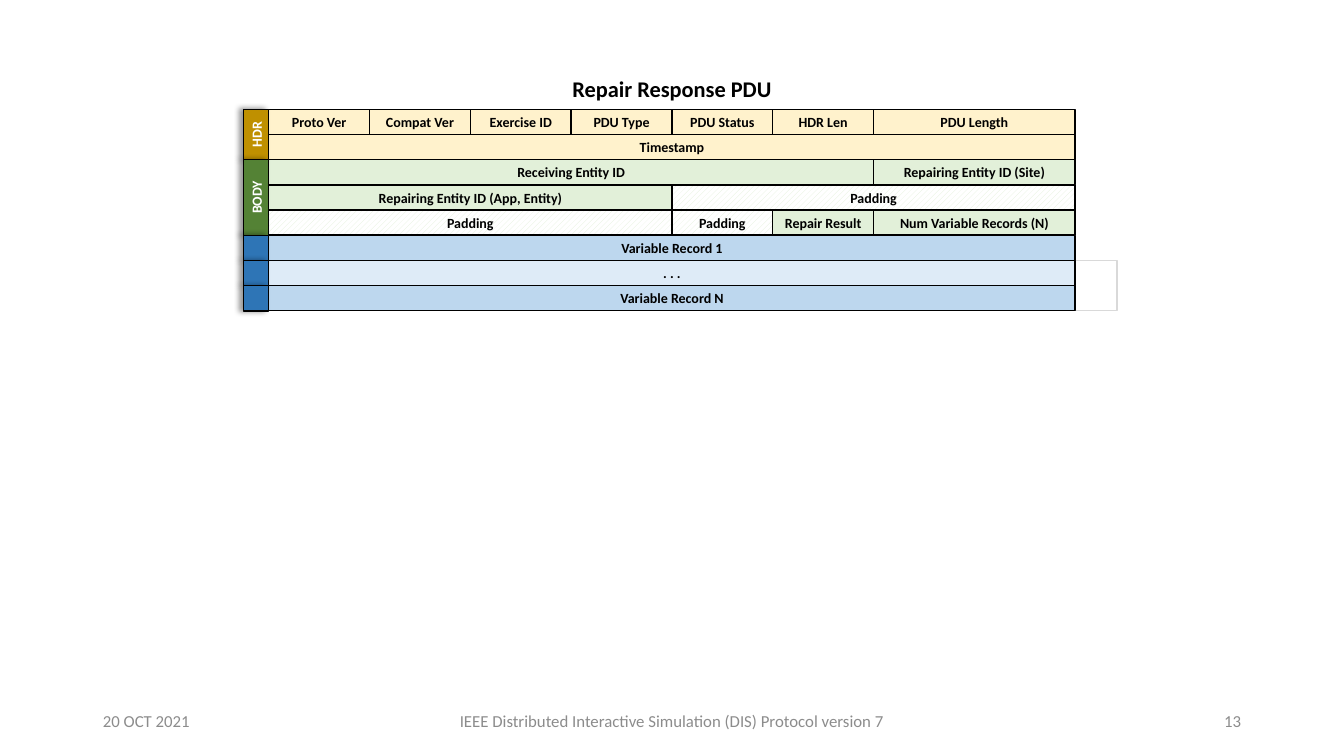
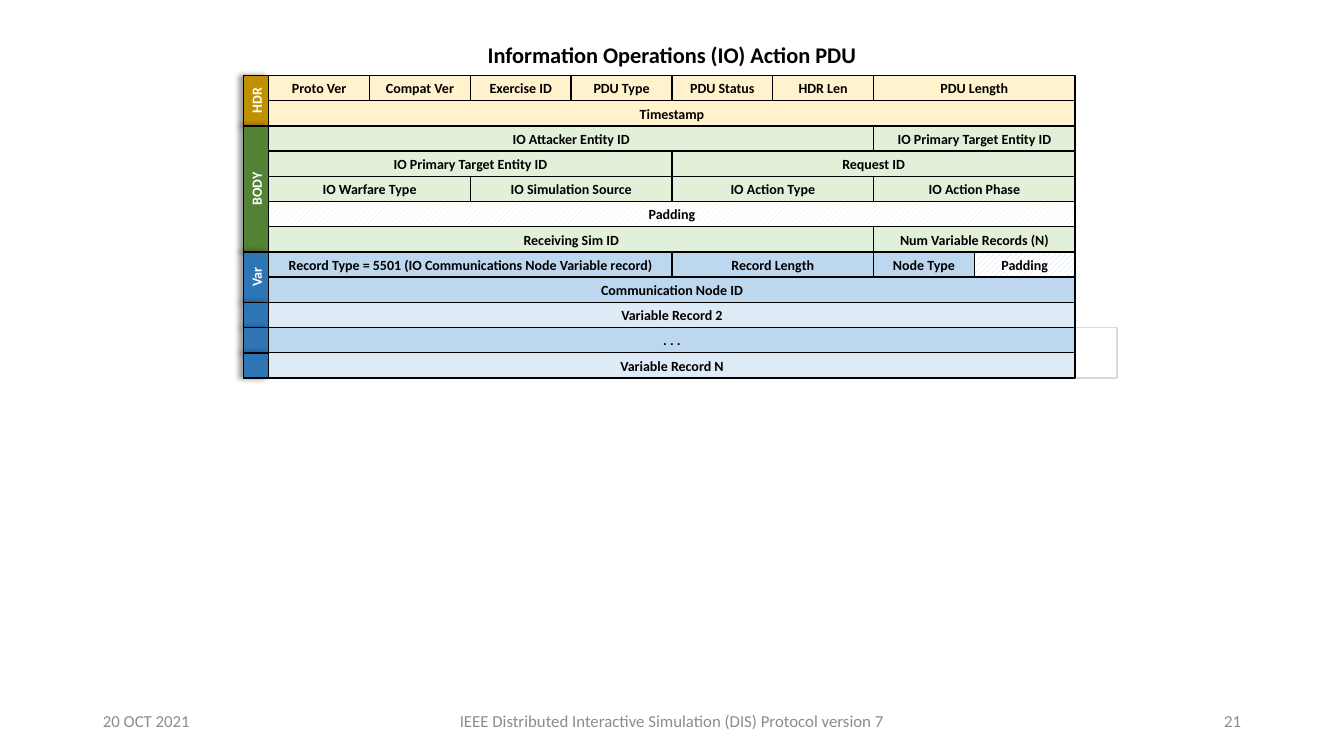
from pptx import Presentation
from pptx.dml.color import RGBColor
from pptx.enum.dml import MSO_PATTERN
from pptx.enum.shapes import MSO_SHAPE
from pptx.enum.text import MSO_ANCHOR, PP_ALIGN
from pptx.oxml import parse_xml
from pptx.oxml.ns import nsdecls
from pptx.util import Pt

PX = 9525  # EMU per pixel, 96 pixels to the inch

BLACK = RGBColor(0x00, 0x00, 0x00)
WHITE = RGBColor(0xFF, 0xFF, 0xFF)
OUTLINE_GREY = RGBColor(0xD9, 0xD9, 0xD9)
FOOTER_GREY = RGBColor(0x8C, 0x8C, 0x8C)
CREAM = RGBColor(0xFF, 0xF2, 0xCC)
GOLD = RGBColor(0xBF, 0x90, 0x00)
PALE_GREEN = RGBColor(0xE2, 0xF0, 0xD9)
GREEN = RGBColor(0x54, 0x82, 0x35)
PALE_BLUE = RGBColor(0xDE, 0xEB, 0xF7)
LIGHT_BLUE = RGBColor(0xBD, 0xD7, 0xEE)
BLUE = RGBColor(0x2E, 0x75, 0xB6)

FONT = "Calibri"
ROW = 24          # height of a field row and width of a section tab
COLUMN = 96       # width of one of the eight columns
COLUMNS = 8
GRID_LEFT = 256
TITLE_LEFT, TITLE_WIDTH = 448, 384
TITLE_RISE = 32   # title top above the first row
FOOTER_TOP, FOOTER_HEIGHT = 667, 38
DATE = "20 OCT 2021"
FOOTER = "IEEE Distributed Interactive Simulation (DIS) Protocol version 7"

SHADOW = (
    f'<a:effectLst {nsdecls("a")}>'
    '<a:outerShdw blurRad="50800" dist="38100" dir="10800000" algn="r" rotWithShape="0">'
    '<a:srgbClr val="000000"><a:alpha val="40000"/></a:srgbClr>'
    '</a:outerShdw></a:effectLst>'
)

# Rows are (fill, [(field, columns), ...]); tabs are (label, fill, rows covered).
HEADER_ROWS = [
    (CREAM, [("Proto Ver", 1), ("Compat Ver", 1), ("Exercise ID", 1), ("PDU Type", 1),
             ("PDU Status", 1), ("HDR Len", 1), ("PDU Length", 2)]),
    (CREAM, [("Timestamp", 8)]),
]
RECORD_TABS = [("", BLUE, 1)] * 3

PDUS = [
    {
        "title": "Repair Response PDU",
        "number": "13",
        "top": 104,
        "rows": HEADER_ROWS + [
            (PALE_GREEN, [("Receiving Entity ID", 6), ("Repairing Entity ID (Site)", 2)]),
            (PALE_GREEN, [("Repairing Entity ID (App, Entity)", 4), ("Padding", 4)]),
            (PALE_GREEN, [("Padding", 4), ("Padding", 1), ("Repair Result", 1),
                          ("Num Variable Records (N)", 2)]),
            (LIGHT_BLUE, [("Variable Record 1", 8)]),
            (PALE_BLUE, [(". . .", 8)]),
            (LIGHT_BLUE, [("Variable Record N", 8)]),
        ],
        "tabs": [("HDR", GOLD, 2), ("BODY", GREEN, 3)] + RECORD_TABS,
    },
    {
        "title": "Information Operations (IO) Action PDU",
        "number": "21",
        "top": 72,
        "rows": HEADER_ROWS + [
            (PALE_GREEN, [("IO Attacker Entity ID", 6), ("IO Primary Target Entity ID", 2)]),
            (PALE_GREEN, [("IO Primary Target Entity ID", 4), ("Request ID", 4)]),
            (PALE_GREEN, [("IO Warfare Type", 2), ("IO Simulation Source", 2),
                          ("IO Action Type", 2), ("IO Action Phase", 2)]),
            (PALE_GREEN, [("Padding", 8)]),
            (PALE_GREEN, [("Receiving Sim ID", 6), ("Num Variable Records (N)", 2)]),
            (LIGHT_BLUE, [("Record Type = 5501 (IO Communications Node Variable record)", 4),
                          ("Record Length", 2), ("Node Type", 1), ("Padding", 1)]),
            (LIGHT_BLUE, [("Communication Node ID", 8)]),
            (PALE_BLUE, [("Variable Record 2", 8)]),
            (LIGHT_BLUE, [(". . .", 8)]),
            (PALE_BLUE, [("Variable Record N", 8)]),
        ],
        "tabs": [("HDR", GOLD, 2), ("BODY", GREEN, 5), ("Var", BLUE, 2)] + RECORD_TABS,
    },
]


def write(shape, text, size, color, bold=False, align=PP_ALIGN.CENTER, inset=0):
    frame = shape.text_frame
    frame.word_wrap = True
    frame.vertical_anchor = MSO_ANCHOR.MIDDLE
    frame.margin_left = frame.margin_right = inset * PX
    frame.margin_top = frame.margin_bottom = 0
    paragraph = frame.paragraphs[0]
    paragraph.alignment = align
    run = paragraph.add_run()
    run.text = text
    run.font.name = FONT
    run.font.size = Pt(size)
    run.font.bold = bold
    run.font.color.rgb = color


def add_box(slide, left, top, width, height, fill=None, line=BLACK):
    box = slide.shapes.add_shape(
        MSO_SHAPE.RECTANGLE, left * PX, top * PX, width * PX, height * PX)
    box.shadow.inherit = False
    if fill is None:
        box.fill.background()
    else:
        box.fill.solid()
        box.fill.fore_color.rgb = fill
    box.line.color.rgb = line
    box.line.width = Pt(1)
    return box


prs = Presentation()
prs.slide_width = 1280 * PX
prs.slide_height = 720 * PX

for pdu in PDUS:
    slide = prs.slides.add_slide(prs.slide_layouts[6])
    top = pdu["top"]

    title = slide.shapes.add_textbox(
        TITLE_LEFT * PX, (top - TITLE_RISE) * PX, TITLE_WIDTH * PX, ROW * PX)
    write(title, pdu["title"], 16, BLACK, bold=True)

    # Open bracket beside the last two rows
    add_box(slide, GRID_LEFT + COLUMNS * COLUMN, top + (len(pdu["rows"]) - 2) * ROW,
            40, 2 * ROW, line=OUTLINE_GREY)

    for index, (fill, fields) in enumerate(pdu["rows"]):
        left = GRID_LEFT
        for label, columns in fields:
            field = add_box(slide, left, top + index * ROW, columns * COLUMN, ROW, fill)
            if label == "Padding":
                field.fill.patterned()
                field.fill.pattern = MSO_PATTERN.WIDE_UPWARD_DIAGONAL
                field.fill.fore_color.rgb = fill
                field.fill.back_color.rgb = WHITE
            write(field, label, 10, BLACK, bold=True)
            left += columns * COLUMN

    # Section tabs, turned a quarter about their centres
    tab_top = top
    for label, fill, rows in pdu["tabs"]:
        length = rows * ROW
        tab = add_box(slide, GRID_LEFT - (ROW + length) // 2, tab_top + (length - ROW) // 2,
                      length, ROW, fill)
        tab.rotation = 270
        properties = tab.fill._xPr
        properties.remove(properties.find("{*}effectLst"))
        properties.append(parse_xml(SHADOW))
        if label:
            write(tab, label, 10, WHITE, bold=True)
        tab_top += length

    for text, left, width, align in [
        (DATE, 88, 288, PP_ALIGN.LEFT),
        (FOOTER, 424, 432, PP_ALIGN.CENTER),
        (pdu["number"], 904, 288, PP_ALIGN.RIGHT),
    ]:
        footer = slide.shapes.add_textbox(
            left * PX, FOOTER_TOP * PX, width * PX, FOOTER_HEIGHT * PX)
        write(footer, text, 12, FOOTER_GREY, align=align, inset=10)

prs.save("out.pptx")
